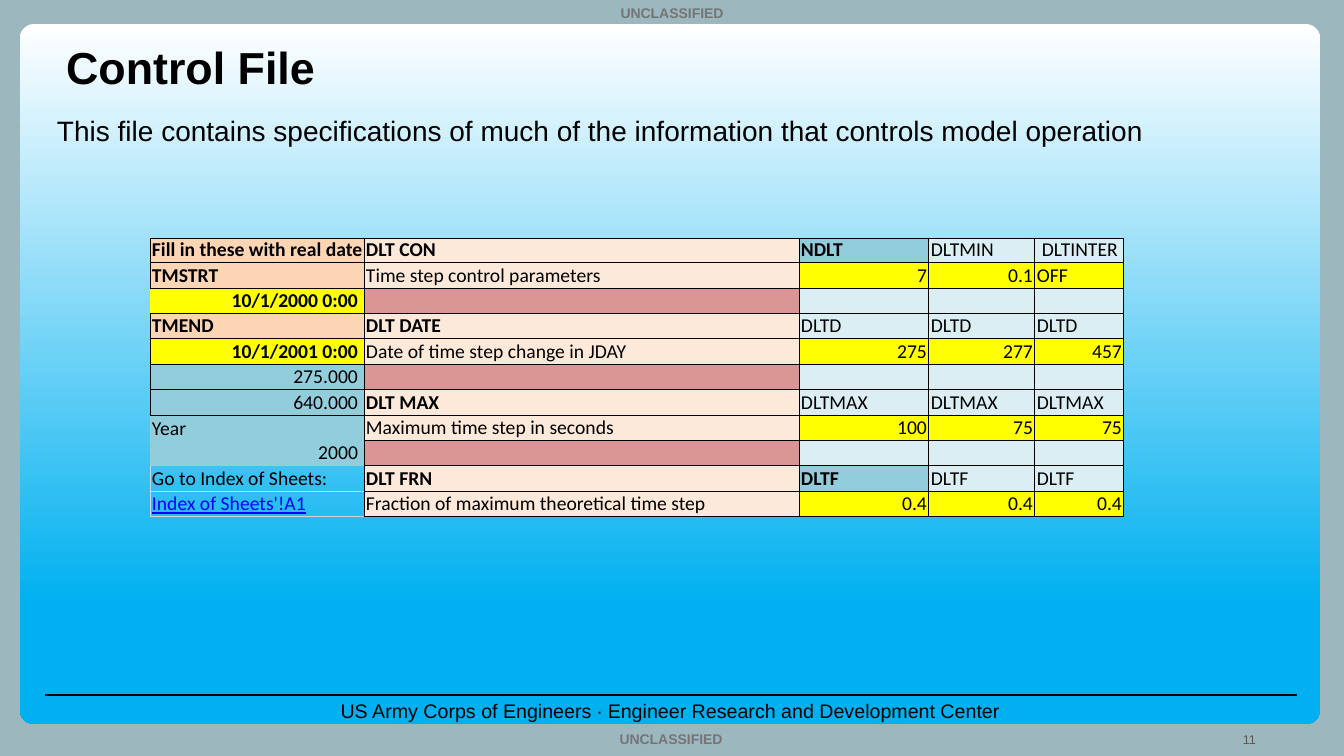
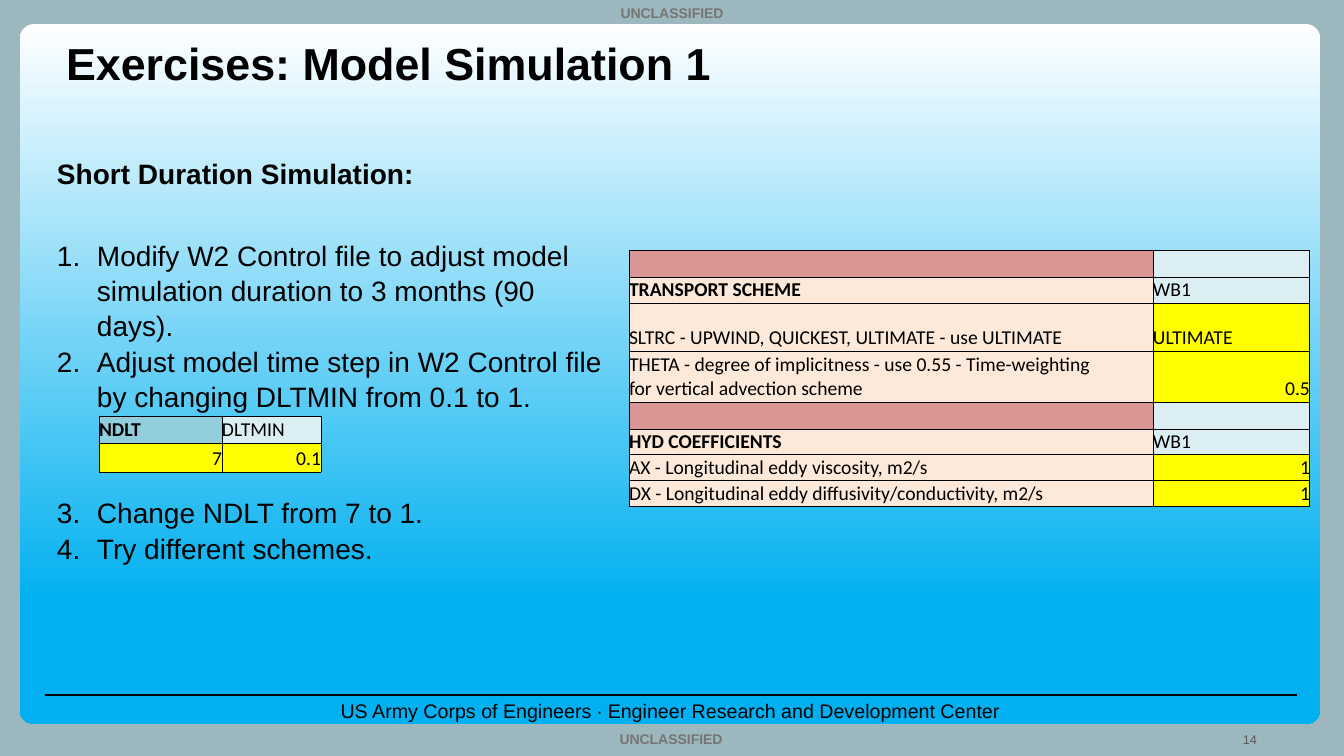
from dataclasses import dataclass, replace
from itertools import accumulate
from typing import NamedTuple, Optional

import lxml.etree
import pptx
import pptx.dml.color
import pptx.enum.shapes
import pptx.enum.text
import pptx.oxml.ns
import pptx.util

SLIDE_WIDTH, SLIDE_HEIGHT = 1344, 756
EMU_PER_PX = 12192000 / SLIDE_WIDTH

BLACK, WHITE, SKY = "000000", "FFFFFF", "00B0F0"
BACKDROP, MARKING_GREY, NUMBER_GREY = "9DB7BF", "757575", "595959"
PEACH, CREAM, ROSE, YELLOW = "FCD5B4", "FDE9D9", "DA9694", "FFFF00"
TEAL, PALE_TEAL, BORDER_GREY, LINK_BLUE = "92CDDC", "DAEEF3", "D4D4D4", "0000FF"

LEFT = pptx.enum.text.PP_ALIGN.LEFT
CENTER = pptx.enum.text.PP_ALIGN.CENTER
RIGHT = pptx.enum.text.PP_ALIGN.RIGHT


class Box(NamedTuple):
    left: int
    top: int
    width: int
    height: int


class TextStyle(NamedTuple):
    size: int
    color: str = BLACK
    bold: bool = False
    align: pptx.enum.text.PP_ALIGN = LEFT
    font: str = "Arial"
    underline: bool = False


class BodyLine(NamedTuple):
    text: str
    bold: bool = False
    numbered: bool = False
    space_before: float = 0


@dataclass(frozen=True)
class CellStyle:
    fill: Optional[str]
    bold: bool = False
    align: pptx.enum.text.PP_ALIGN = LEFT
    color: str = BLACK
    underline: bool = False
    left_pad: int = 0
    right_pad: int = 0
    black_sides: str = "LRTB"
    grey_sides: str = ""


class Cell(NamedTuple):
    style: CellStyle
    text: str = ""


class TableSpec(NamedTuple):
    left: int
    top: int
    columns: list[int]
    rows: list[int]
    cells: list[list[Cell]]
    inset: int = 0


LABEL = CellStyle(PEACH, bold=True, right_pad=-2)
NAME = CellStyle(CREAM, bold=True)
NOTE = CellStyle(CREAM, right_pad=50)
KEY = CellStyle(TEAL, bold=True)
HEAD = CellStyle(PALE_TEAL)
HEAD_INDENTED = replace(HEAD, left_pad=5)
INPUT = CellStyle(YELLOW)
VALUE = replace(INPUT, align=RIGHT)
END_DATE = replace(VALUE, bold=True, right_pad=4)
START_DATE = replace(END_DATE, black_sides="RTB")
DERIVED = CellStyle(TEAL, align=RIGHT, right_pad=4)
YEAR = CellStyle(TEAL, right_pad=4, black_sides="RT")
INDEX = CellStyle(None, black_sides="R", grey_sides="LB")
INDEX_LINK = replace(INDEX, color=LINK_BLUE, underline=True, grey_sides="LTB")


def px(length: float) -> pptx.util.Emu:
    return pptx.util.Emu(round(length * EMU_PER_PX))


def emu_box(box: Box) -> list[pptx.util.Emu]:
    return [px(length) for length in box]


def rgb(value: str) -> pptx.dml.color.RGBColor:
    return pptx.dml.color.RGBColor.from_string(value)


def add_child(parent, tag: str, **attributes: str):
    child = lxml.etree.SubElement(parent, pptx.oxml.ns.qn(tag))
    for key, value in attributes.items():
        child.set(key, value)
    return child


def style_paragraph(paragraph, style: TextStyle) -> None:
    paragraph.alignment = style.align
    font = paragraph.font
    font.name, font.size = style.font, pptx.util.Pt(style.size)
    font.bold, font.underline = style.bold, style.underline
    font.color.rgb = rgb(style.color)


def add_text(slide, box: Box, text: str, style: TextStyle):
    shape = slide.shapes.add_textbox(*emu_box(box))
    shape.text_frame.word_wrap = True
    paragraph = shape.text_frame.paragraphs[0]
    paragraph.text = text
    style_paragraph(paragraph, style)
    return shape


def add_panel(slide):
    panel = slide.shapes.add_shape(
        pptx.enum.shapes.MSO_SHAPE.ROUNDED_RECTANGLE, *emu_box(Box(20, 24, 1300, 700)))
    panel.adjustments[0] = 0.02
    panel.shadow.inherit = False
    panel.line.fill.background()
    panel.fill.gradient()
    panel.fill.gradient_angle = 270
    for stop, position, color in zip(panel.fill.gradient_stops, (0, 0.83), (WHITE, SKY)):
        stop.position = position
        stop.color.rgb = rgb(color)
    return panel


def add_rule(slide):
    rule = slide.shapes.add_connector(
        pptx.enum.shapes.MSO_CONNECTOR.STRAIGHT, px(45), px(695), px(1297), px(695))
    rule.line.color.rgb = rgb(BLACK)
    rule.line.width = pptx.util.Pt(1.5)
    add_child(rule.element.spPr, "a:effectLst")
    return rule


def build_layout_frame(layout, slide) -> None:
    for placeholder in list(layout.placeholders)[2:]:
        placeholder.element.getparent().remove(placeholder.element)
    marking = TextStyle(10, MARKING_GREY, bold=True, align=CENTER)
    frame = [
        add_panel(slide),
        add_rule(slide),
        add_text(slide, Box(45, 694, 1251, 34),
                 "US Army Corps of Engineers ∙ Engineer Research and Development Center",
                 TextStyle(14, align=CENTER)),
        add_text(slide, Box(0, 0, SLIDE_WIDTH, 27), "UNCLASSIFIED", marking),
        add_text(slide, Box(-1, 726, SLIDE_WIDTH, 27), "UNCLASSIFIED", marking),
    ]
    for index, shape in enumerate(frame, start=2):
        layout.shapes.element.insert(index, shape.element)


def place(shape, box: Box) -> None:
    shape.left, shape.top, shape.width, shape.height = emu_box(box)
    shape.text_frame.word_wrap = True
    shape.text_frame.auto_size = pptx.enum.text.MSO_AUTO_SIZE.NONE


def set_title(slide, text: str, top: int) -> None:
    title = slide.shapes.title
    place(title, Box(56, top, 1232, 89))
    title.text_frame.vertical_anchor = pptx.enum.text.MSO_ANCHOR.MIDDLE
    title.text_frame.text = text
    style_paragraph(title.text_frame.paragraphs[0], TextStyle(32, bold=True))


def set_body(slide, box: Box, lines: list[BodyLine]) -> None:
    body = slide.placeholders[1]
    place(body, box)
    frame = body.text_frame
    frame.margin_left = frame.margin_right = frame.margin_bottom = 0
    frame.margin_top = px(1)
    frame.text = "\n".join(line.text for line in lines)
    for paragraph, line in zip(frame.paragraphs, lines):
        properties = paragraph._p.get_or_add_pPr()
        properties.set("marL", str(px(41 if line.numbered else 1)))
        properties.set("indent", str(px(-40 if line.numbered else 0)))
        if line.numbered:
            add_child(properties, "a:buFont", typeface="Arial")
            add_child(properties, "a:buAutoNum", type="arabicPeriod")
        else:
            add_child(properties, "a:buNone")
        paragraph.space_before = pptx.util.Pt(line.space_before)
        paragraph.line_spacing = 1.04
        style_paragraph(paragraph, TextStyle(20, bold=line.bold))


def set_borders(cell, style: CellStyle) -> None:
    properties = cell._tc.get_or_add_tcPr()
    for index, side in enumerate("LRTB"):
        border = add_child(properties, f"a:ln{side}", w=str(pptx.util.Pt(0.75)))
        properties.insert(index, border)
        if side in style.black_sides + style.grey_sides:
            color = BLACK if side in style.black_sides else BORDER_GREY
            add_child(add_child(border, "a:solidFill"), "a:srgbClr", val=color)
        else:
            add_child(border, "a:noFill")


def fill_cell(cell, content: Cell, inset: int) -> None:
    style = content.style
    cell.margin_left = px(inset + style.left_pad)
    cell.margin_right = px(inset + style.right_pad)
    cell.margin_top = 0
    cell.margin_bottom = px(1)
    cell.vertical_anchor = pptx.enum.text.MSO_ANCHOR.BOTTOM
    cell.text_frame.text = content.text
    text_style = TextStyle(14, style.color, style.bold, style.align, "Calibri", style.underline)
    for paragraph in cell.text_frame.paragraphs:
        style_paragraph(paragraph, text_style)
        if not content.text:
            add_child(paragraph._p, "a:endParaRPr", sz="1400")
    if style.fill:
        cell.fill.solid()
        cell.fill.fore_color.rgb = rgb(style.fill)
    else:
        cell.fill.background()
    set_borders(cell, style)


def add_grid(slide, spec: TableSpec):
    box = Box(spec.left, spec.top, sum(spec.columns), sum(spec.rows))
    table = slide.shapes.add_table(len(spec.rows), len(spec.columns), *emu_box(box)).table
    table.first_row = table.horz_banding = False
    for column, width in zip(table.columns, spec.columns):
        column.width = px(width)
    for row, height, contents in zip(table.rows, spec.rows, spec.cells):
        row.height = px(height)
        for cell, content in zip(row.cells, contents):
            fill_cell(cell, content, spec.inset)
    return table


def even_split(total: int, count: int) -> list[int]:
    edges = [round(total * index / count) for index in range(count + 1)]
    return [end - start for start, end in zip(edges, edges[1:])]


def cells(style: CellStyle, *texts: str) -> list[Cell]:
    return [Cell(style, text) for text in texts]


SPACER = Cell(CellStyle(ROSE))
BLANKS = [SPACER, *cells(HEAD, "", "", "")]

CONTROL_TABLE = TableSpec(150, 238, [214, 435, 130, 106, 89], even_split(279, 11), [
    [Cell(LABEL, "Fill in these with real date"), Cell(NAME, "DLT CON"), Cell(KEY, "NDLT"),
     Cell(HEAD, "DLTMIN"), Cell(HEAD_INDENTED, "DLTINTER")],
    [Cell(LABEL, "TMSTRT"), Cell(NOTE, "Time step control parameters"),
     *cells(VALUE, "7", "0.1"), Cell(INPUT, "OFF")],
    [Cell(START_DATE, "10/1/2000 0:00"), *BLANKS],
    [Cell(LABEL, "TMEND"), Cell(NAME, "DLT DATE"), *cells(HEAD, "DLTD", "DLTD", "DLTD")],
    [Cell(END_DATE, "10/1/2001 0:00"), Cell(NOTE, "Date of time step change in JDAY"),
     *cells(VALUE, "275", "277", "457")],
    [Cell(DERIVED, "275.000"), *BLANKS],
    [Cell(DERIVED, "640.000"), Cell(NAME, "DLT MAX"), *cells(HEAD, "DLTMAX", "DLTMAX", "DLTMAX")],
    [Cell(YEAR, "Year\n2000"), Cell(NOTE, "Maximum time step in seconds"),
     *cells(VALUE, "100", "75", "75")],
    [Cell(YEAR), *BLANKS],
    [Cell(INDEX, "Go to Index of Sheets:"), Cell(NAME, "DLT FRN"), Cell(KEY, "DLTF"),
     *cells(HEAD, "DLTF", "DLTF")],
    [Cell(INDEX_LINK, "Index of Sheets'!A1"),
     Cell(NOTE, "Fraction of maximum theoretical time step"), *cells(VALUE, "0.4", "0.4", "0.4")],
], inset=2)
YEAR_ROW = 7

STEP_TABLE = TableSpec(99, 416, [123, 99], [27, 29], [
    [Cell(KEY, "NDLT"), Cell(HEAD, "DLTMIN")],
    cells(VALUE, "7", "0.1"),
])

SCHEME_TABLE = TableSpec(629, 250, [524, 157], [27, 26, 48, 51, 27, 26, 26, 26], [
    [SPACER, Cell(HEAD)],
    [Cell(NAME, "TRANSPORT SCHEME"), Cell(HEAD, "WB1")],
    [Cell(NOTE, "SLTRC - UPWIND, QUICKEST, ULTIMATE - use ULTIMATE"), Cell(INPUT, "ULTIMATE")],
    [Cell(NOTE, "THETA - degree of implicitness - use 0.55 - Time-weighting "
                "for vertical advection scheme"), Cell(VALUE, "0.5")],
    [SPACER, Cell(HEAD)],
    [Cell(NAME, "HYD COEFFICIENTS"), Cell(HEAD, "WB1")],
    [Cell(NOTE, "AX - Longitudinal eddy viscosity, m2/s"), Cell(VALUE, "1")],
    [Cell(NOTE, "DX - Longitudinal eddy diffusivity/conductivity, m2/s"), Cell(VALUE, "1")],
])

EXERCISE_LINES = [
    BodyLine("Short Duration Simulation:", bold=True),
    BodyLine("Modify W2 Control file to adjust model simulation duration to 3 months (90 days).",
             numbered=True, space_before=34),
    BodyLine("Adjust model time step in W2 Control file by changing DLTMIN from 0.1 to 1.",
             numbered=True, space_before=0.8),
    BodyLine("Change NDLT from 7 to 1.", numbered=True, space_before=58),
    BodyLine("Try different schemes.", numbered=True, space_before=0.8),
]


def add_page_number(slide, number: str) -> None:
    add_text(slide, Box(1233, 727, 107, 40), number, TextStyle(9, NUMBER_GREY))


def main() -> None:
    presentation = pptx.Presentation()
    presentation.slide_width, presentation.slide_height = px(SLIDE_WIDTH), px(SLIDE_HEIGHT)
    background = presentation.slide_master.background.fill
    background.solid()
    background.fore_color.rgb = rgb(BACKDROP)
    layout = presentation.slide_layouts[1]

    control = presentation.slides.add_slide(layout)
    build_layout_frame(layout, control)
    set_title(control, "Control File", 22)
    set_body(control, Box(56, 111, 1097, 35), [BodyLine(
        "This file contains specifications of much of the information that controls model operation")])
    table = add_grid(control, CONTROL_TABLE)
    table.cell(YEAR_ROW, 0).merge(table.cell(YEAR_ROW + 1, 0))
    table.cell(YEAR_ROW, 0).text_frame.paragraphs[1].alignment = RIGHT
    add_page_number(control, "11")

    exercises = presentation.slides.add_slide(layout)
    set_title(exercises, "Exercises: Model Simulation 1", 18)
    set_body(exercises, Box(56, 154, 556, 410), EXERCISE_LINES)
    for spec in (STEP_TABLE, SCHEME_TABLE):
        add_grid(exercises, spec)
    add_page_number(exercises, "14")
    presentation.save("out.pptx")


if __name__ == "__main__":
    main()
